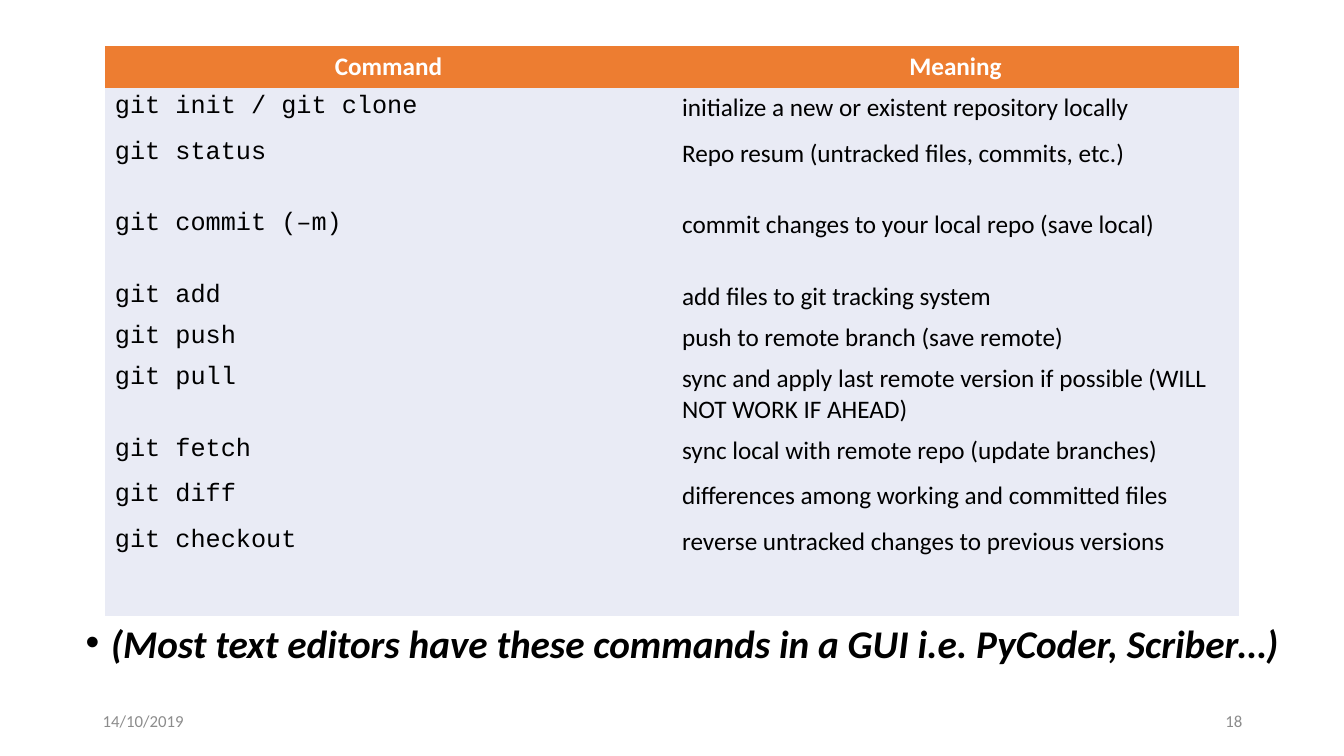
"""Build a slide with a table of git commands and a note on editors."""
from pptx import Presentation
from pptx.dml.color import RGBColor
from pptx.enum.text import MSO_ANCHOR, MSO_AUTO_SIZE, PP_ALIGN
from pptx.util import Inches, Pt

HEADINGS = ("Command", "Meaning")
COMMANDS = [
    ("git init / git clone", "initialize a new or existent repository locally", 0.45),
    ("git status", "Repo resum (untracked files, commits, etc.)", 0.71),
    ("git commit (–m)", "commit changes to your local repo (save local)", 0.71),
    ("git add", "add files to git tracking system", 0.41),
    ("git push", "push to remote branch (save remote)", 0.41),
    ("git pull", "sync and apply last remote version if possible (WILL NOT WORK IF AHEAD)", 0.71),
    ("git fetch", "sync local with remote repo (update branches)", 0.45),
    ("git diff", "differences among working and committed files", 0.45),
    ("git checkout", "reverse untracked changes to previous versions", 0.94),
]
EDITOR_NOTE = "(Most text editors have these commands in a GUI i.e. PyCoder, Scriber…)"
FOOTERS = [("14/10/2019", 0.92, PP_ALIGN.LEFT), ("18", 9.42, PP_ALIGN.RIGHT)]

HEADING_HEIGHT = 0.41
HEADING = dict(name="Calibri", size=Pt(18), bold=True, color="FFFFFF")
COMMAND = dict(name="Courier New", size=Pt(18), bold=False, color="000000")
MEANING = dict(COMMAND, name="Calibri")
NOTE = dict(name="Calibri", size=Pt(28), bold=True, italic=True, color="000000")
FOOTER = dict(name="Calibri", size=Pt(12), color="8C8C8C")


def paint(color_format, hex_color):
    color_format.rgb = RGBColor.from_string(hex_color)


def write(frame, text, style, align=PP_ALIGN.LEFT):
    paragraph = frame.paragraphs[0]
    paragraph.alignment = align
    run = paragraph.add_run()
    run.text = text
    for attribute, value in style.items():
        if attribute == "color":
            paint(run.font.color, value)
        else:
            setattr(run.font, attribute, value)
    return paragraph


def fill_row(table, row, texts, styles, background, align):
    for column, (text, style) in enumerate(zip(texts, styles)):
        cell = table.cell(row, column)
        cell.fill.solid()
        paint(cell.fill.fore_color, background)
        write(cell.text_frame, text, style, align)


def place(shape, *box):
    for side, length in zip(("left", "top", "width", "height"), box):
        setattr(shape, side, Inches(length))


deck = Presentation()
deck.slide_width, deck.slide_height = Inches(13.33), Inches(7.5)
slide = deck.slides.add_slide(deck.slide_layouts[1])
title = slide.shapes.title
title.element.getparent().remove(title.element)

for text, left, align in FOOTERS:
    footer = slide.shapes.add_textbox(Inches(left), Inches(6.95), Inches(3), Inches(0.4))
    footer.text_frame.word_wrap = True
    footer.text_frame.vertical_anchor = MSO_ANCHOR.MIDDLE
    write(footer.text_frame, text, FOOTER, align)

heights = [HEADING_HEIGHT] + [height for _, _, height in COMMANDS]
table = slide.shapes.add_table(
    len(heights), len(HEADINGS), Inches(1.04), Inches(0.46), Inches(11.25), Inches(sum(heights))
).table
for row, height in zip(table.rows, heights):
    row.height = Inches(height)
fill_row(table, 0, HEADINGS, (HEADING, HEADING), "ED7D31", PP_ALIGN.CENTER)
for row, (command, meaning, _) in enumerate(COMMANDS, 1):
    fill_row(table, row, (command, meaning), (COMMAND, MEANING), "E9EBF5", PP_ALIGN.LEFT)
for cell in table.iter_cells():
    edges = cell._tc.get_or_add_tcPr()
    for edge in ("lnB", "lnT", "lnR", "lnL"):
        line = edges.makeelement(
            "{http://schemas.openxmlformats.org/drawingml/2006/main}" + edge, {"w": "0"})
        line.append(line.makeelement(
            "{http://schemas.openxmlformats.org/drawingml/2006/main}noFill", {}))
        edges.insert(0, line)

note = slide.placeholders[1]
place(note, 0.75, 6.18, 12.28, 0.86)
note.text_frame.auto_size = MSO_AUTO_SIZE.NONE
note.text_frame.vertical_anchor = MSO_ANCHOR.TOP
paragraph = write(note.text_frame, EDITOR_NOTE, NOTE)
paragraph.line_spacing = 0.8
paragraph.space_before = Pt(10)
indent = paragraph._p.get_or_add_pPr()
for attribute, length in {"marL": 0.25, "indent": -0.25}.items():
    indent.set(attribute, str(Inches(length)))

deck.save("out.pptx")
